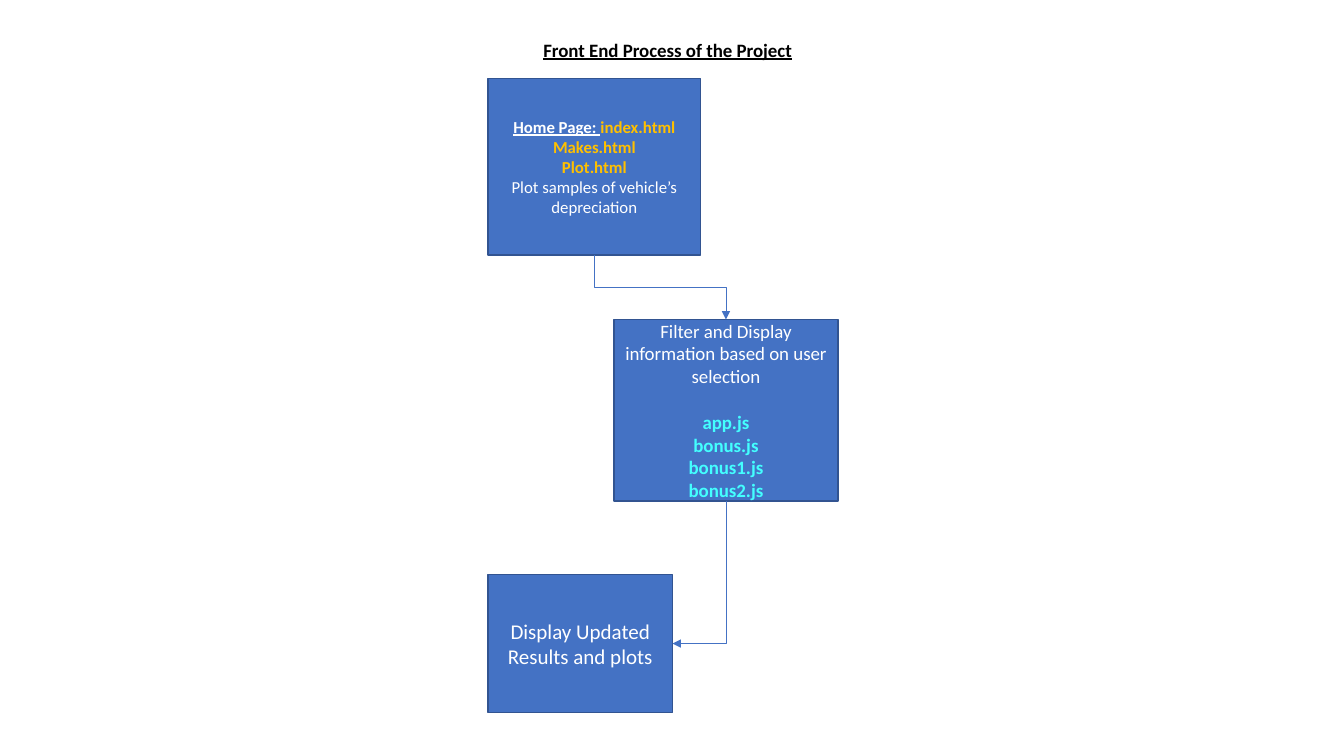
from pptx import Presentation
from pptx import util as u
from pptx.dml.color import RGBColor
from pptx.enum import shapes, text
from pptx.oxml import parse_xml
from pptx.oxml.ns import nsdecls, qn

BLUE, EDGE = "4472C4", "325491"
WHITE, BLACK, GOLD, CYAN = "FFFFFF", "000000", "FFC000", "43FFFF"
BOTTOM, TOP, RIGHT = 2, 0, 3


def color(code):
    return RGBColor.from_string(code)


def style(run, size, code, bold=False, under=False):
    font = run.font
    font.name, font.size = "Calibri", u.Pt(size)
    font.bold, font.underline = bold, under
    font.color.rgb = color(code)


def title(slide, left, top, width, height, words):
    box = slide.shapes.add_textbox(*map(u.Inches, (left, top, width, height)))
    frame = box.text_frame
    frame.word_wrap = False
    frame.auto_size = text.MSO_AUTO_SIZE.SHAPE_TO_FIT_TEXT
    frame.text = words
    style(frame.paragraphs[0].runs[0], 13.5, BLACK, True, True)


def step(slide, left, top, width, height, size, lines):
    """Draw a process box; each line is a list of (words, colour, bold, underline)."""
    box = slide.shapes.add_shape(
        shapes.MSO_SHAPE.RECTANGLE, *map(u.Inches, (left, top, width, height)))
    box.shadow.inherit = False
    box.fill.solid()
    box.fill.fore_color.rgb = color(BLUE)
    box.line.color.rgb = color(EDGE)
    box.line.width = u.Pt(1)
    frame = box.text_frame
    frame.word_wrap = True
    frame.vertical_anchor = text.MSO_ANCHOR.MIDDLE
    for i, line in enumerate(lines):
        para = frame.add_paragraph() if i else frame.paragraphs[0]
        para.alignment = text.PP_ALIGN.CENTER
        for words, *look in line:
            run = para.add_run()
            run.text = words
            style(run, size, *look)
    return box


def arrow(slide, start, end, side, kind):
    """Join the bottom of start to a side of end with a bend that leaves downward."""
    link = slide.shapes.add_connector(shapes.MSO_CONNECTOR.ELBOW, 0, 0, 0, 0)
    link.begin_connect(start, BOTTOM)
    link.end_connect(end, side)
    dx, dy = link.end_x - link.begin_x, link.end_y - link.begin_y
    midx, midy = link.begin_x + dx // 2, link.begin_y + dy // 2
    # The frame is turned a quarter, so its width runs down the slide.
    link.width, link.height = dy, abs(dx)
    link.left, link.top = midx - dy // 2, midy - abs(dx) // 2
    props = link._element.spPr
    frame = props.find(qn("a:xfrm"))
    frame.set("rot", "16200000" if dx > 0 else "5400000")
    frame.set("flipH", "1" if dx > 0 else "0")
    frame.set("flipV", "0")
    props.find(qn("a:prstGeom")).set("prst", kind)
    link.line.color.rgb = color(BLUE)
    link.line.width = u.Pt(0.5)
    props.find(qn("a:ln")).append(
        parse_xml(f'<a:tailEnd {nsdecls("a")} type="triangle"/>'))
    props.append(parse_xml(f'<a:effectLst {nsdecls("a")}/>'))


def flow(slide, left, top):
    home = step(slide, left, top, 2.11, 1.75, 12, [
        [("Home Page: ", WHITE, True, True), ("index.html", GOLD, True)],
        [("Makes.html", GOLD, True)],
        [("Plot.html", GOLD, True)],
        [("Plot samples of vehicle’s depreciation", WHITE)]])
    result = step(slide, left, top + 4.92, 1.83, 1.37, 15, [
        [("Display Updated Results and plots", WHITE)]])
    files = ["app.js", "bonus.js", "bonus1.js", "bonus2.js"]
    choice = step(slide, left + 1.25, top + 2.39, 2.22, 1.8, 13.5, [
        [("Filter and Display information based on user selection", WHITE)],
        *([(name, CYAN, True)] for name in files)])
    choice.text_frame.paragraphs[1].space_before = u.Pt(16.5)
    arrow(slide, home, choice, TOP, "bentConnector3")
    arrow(slide, choice, result, RIGHT, "bentConnector2")


def main():
    deck = Presentation()
    deck.slide_width, deck.slide_height = u.Inches(13.33), u.Inches(7.5)
    slide = deck.slides.add_slide(deck.slide_layouts[6])
    title(slide, 5.29, 0.33, 2.69, 0.33, "Front End Process of the Project")
    flow(slide, 4.84, 0.78)
    deck.save("out.pptx")


if __name__ == "__main__":
    main()
